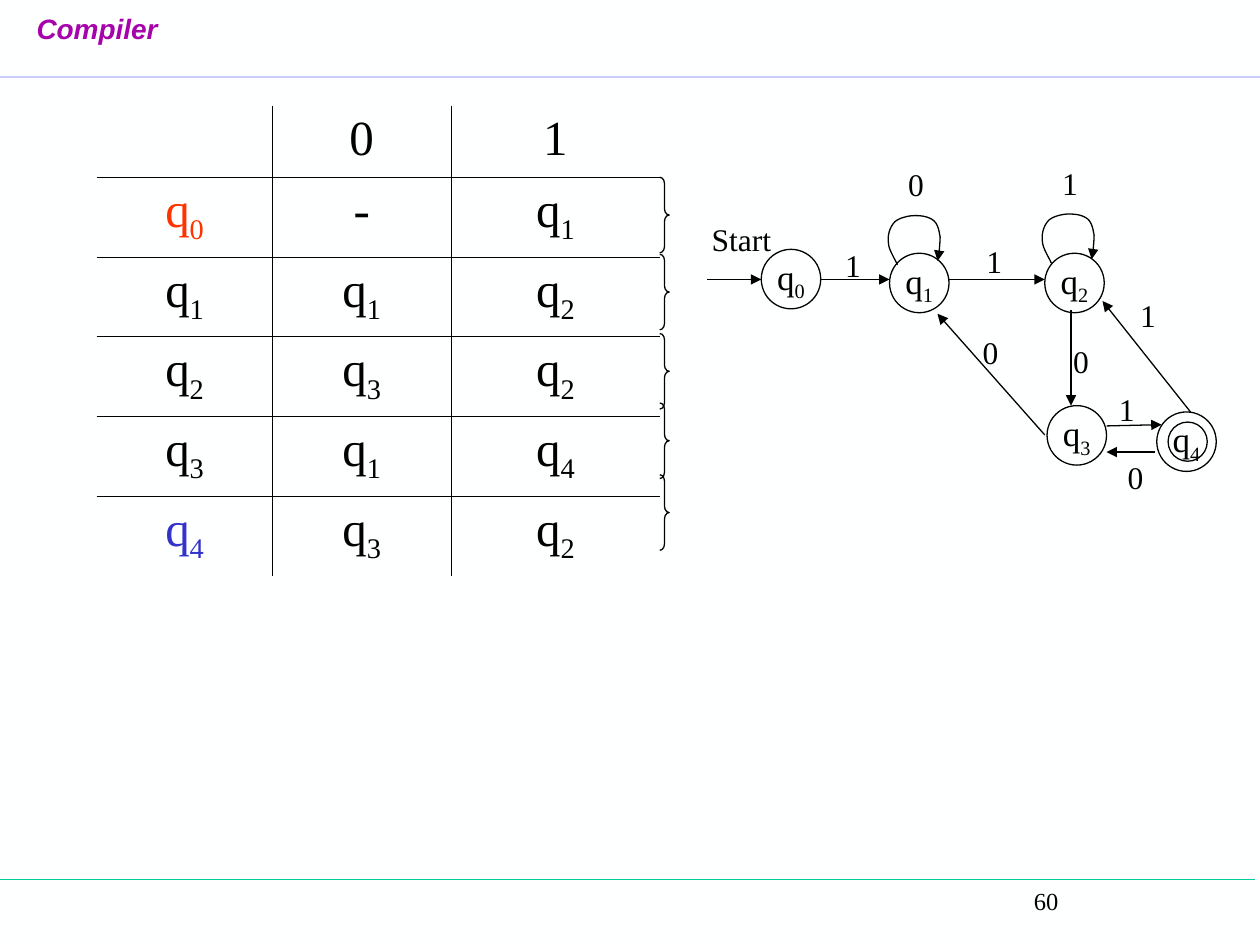
from dataclasses import dataclass

from lxml.etree import SubElement
from pptx import Presentation
from pptx.dml.color import RGBColor
from pptx.enum.shapes import MSO_CONNECTOR, MSO_SHAPE
from pptx.enum.text import MSO_ANCHOR, PP_ALIGN
from pptx.oxml import parse_xml
from pptx.oxml.ns import nsdecls, qn
from pptx.util import Pt


@dataclass(frozen=True)
class Theme:
    serif: str = "Times New Roman"
    sans: str = "Arial"
    paper: str = "FEFFFF"
    ink: str = "000000"
    title: str = "A603AB"
    header_rule: str = "CCCCFF"
    footer_rule: str = "00CC99"
    start_state: str = "FF3300"
    final_state: str = "3333CC"
    table_size: int = 28
    state_size: int = 20
    label_size: int = 18
    title_size: int = 16
    number_size: int = 14
    line: float = 0.75
    cell_line: float = 0.45


T = Theme()


def rgb(value):
    return RGBColor.from_string(value)


def write(tf, text, size, color=T.ink, align=PP_ALIGN.CENTER):
    """Write one paragraph; the digit of a state name such as q0 is a subscript."""
    p = tf.paragraphs[0]
    p.alignment = align
    p.font.name, p.font.size = T.serif, Pt(size)
    p.font.color.rgb = rgb(color)
    parts = text if text.startswith("q") else [text]
    for i, part in enumerate(parts):
        r = p.add_run()
        r.text = part
        if i:
            r._r.get_or_add_rPr().set("baseline", "-25000")


def add_label(s, text, x, y, w, h, size, align=PP_ALIGN.CENTER):
    tf = s.shapes.add_textbox(Pt(x), Pt(y), Pt(w), Pt(h)).text_frame
    tf.word_wrap = False
    write(tf, text, size, align=align)


def style_line(sp, color=T.ink, width=T.line, arrow=False):
    sp.line.color.rgb = rgb(color)
    sp.line.width = Pt(width)
    if arrow:
        SubElement(sp.line._get_or_add_ln(), qn("a:tailEnd"), type="triangle")


def add_line(s, x1, y1, x2, y2, **style):
    c = s.shapes.add_connector(MSO_CONNECTOR.STRAIGHT, Pt(x1), Pt(y1), Pt(x2), Pt(y2))
    style_line(c, **style)
    SubElement(c._element.spPr, qn("a:effectLst"))


def add_outline(s, shape, x, y, w, h):
    sp = s.shapes.add_shape(shape, Pt(x), Pt(y), Pt(w), Pt(h))
    sp.shadow.inherit = False
    sp.fill.background()
    style_line(sp)
    return sp


# Header and footer
def add_frame(s, w, h):
    title = s.shapes.title
    title.left, title.top, title.width, title.height = Pt(13.7), Pt(2.9), Pt(100), Pt(40)
    tf = title.text_frame
    tf.text = "Compiler"
    tf.word_wrap = False
    tf.vertical_anchor = MSO_ANCHOR.TOP
    p = tf.paragraphs[0]
    p.alignment = PP_ALIGN.LEFT
    p.font.name, p.font.size = T.sans, Pt(T.title_size)
    p.font.bold = p.font.italic = True
    p.font.color.rgb = rgb(T.title)
    add_line(s, 0, 44.2, w, 44.2, color=T.header_rule, width=1)
    add_line(s, 0, h - 37.5, w - 3, h - 37.5, color=T.footer_rule)
    add_label(s, "60", 583.7, h - 37.5, 60, 36, T.number_size, PP_ALIGN.LEFT)


# Transition table
def set_borders(cell, visible):
    tcPr = cell._tc.get_or_add_tcPr()
    for i, side in enumerate("LRTB"):
        fill = (f'<a:solidFill><a:srgbClr val="{T.ink}"/></a:solidFill>'
                if side in visible else "<a:noFill/>")
        tcPr.insert(i, parse_xml(
            f'<a:ln{side} {nsdecls("a")} w="{Pt(T.cell_line)}">{fill}</a:ln{side}>'))


def add_transition_table(s, x, y):
    rows = [["", "0", "1"], ["q0", "-", "q1"], ["q1", "q1", "q2"],
            ["q2", "q3", "q2"], ["q3", "q1", "q4"], ["q4", "q3", "q2"]]
    widths, heights = [100.2, 102.2, 119.2], [41] + [45.6] * 5
    colors = {(1, 0): T.start_state, (5, 0): T.final_state}
    table = s.shapes.add_table(len(rows), len(widths), Pt(x), Pt(y),
                               Pt(sum(widths)), Pt(sum(heights))).table
    table.first_row = table.horz_banding = False
    for col, width in zip(table.columns, widths):
        col.width = Pt(width)
    for i, row in enumerate(rows):
        table.rows[i].height = Pt(heights[i])
        for j, text in enumerate(row):
            cell = table.cell(i, j)
            cell.fill.background()
            # Inner grid lines only
            inner = {"L": j > 0, "R": j < len(row) - 1, "T": i > 0, "B": i < len(rows) - 1}
            set_borders(cell, [side for side, on in inner.items() if on])
            if text:
                write(cell.text_frame, text, T.table_size, colors.get((i, j), T.ink))
    # One brace beside each state row
    for top in (41, 85, 130.3, 170, 211):
        brace = add_outline(s, MSO_SHAPE.RIGHT_BRACE, x + sum(widths), y + top, 5.4, 43.2)
        brace.adjustments[0] = 0.67


# State diagram
def add_loop(s, x, y, steps=8):
    start = (5.8, 28.1)
    curves = [((5, 25.9), (0.7, 19.4), (0.7, 15.8)),
              ((0, 11.5), (1.4, 6.5), (4.3, 3.6)),
              ((6.5, 1.4), (12.2, 0), (15.8, 0)),
              ((20.2, 0), (23.8, 0.7), (26.6, 2.9)),
              ((28.8, 5), (29.5, 7.9), (30.2, 12.2)),
              ((30.2, 15.8), (29.5, 23), (28.8, 25.9))]
    points = [start]
    for b, c, d in curves:
        a = points[-1]
        for t in (k / steps for k in range(1, steps + 1)):
            u = 1 - t
            points.append(tuple(
                u**3 * a[n] + 3 * u * u * t * b[n] + 3 * u * t * t * c[n] + t**3 * d[n]
                for n in (0, 1)))
    points = [(Pt(x + px), Pt(y + py)) for px, py in points]
    builder = s.shapes.build_freeform(*points[0])
    builder.add_line_segments(points[1:], close=False)
    loop = builder.convert_to_shape()
    loop.shadow.inherit = False
    loop.fill.background()
    style_line(loop, arrow=True)


def add_state_diagram(s, x, y):
    size = 34
    states = {"q0": (35, 52.5), "q1": (108.3, 54.7), "q2": (197, 54.7),
              "q3": (198.3, 141.8), "q4": (261, 145.4)}
    for name, (dx, dy) in states.items():
        sp = add_outline(s, MSO_SHAPE.OVAL, x + dx, y + dy, size, size)
        sp.text_frame.word_wrap = False
        sp.text_frame.vertical_anchor = MSO_ANCHOR.MIDDLE
        write(sp.text_frame, name, T.state_size)
    # Inner ring of the accepting state
    dx, dy = states["q4"]
    add_outline(s, MSO_SHAPE.OVAL, x + dx + 6.5, y + dy + 5.8, 22.4, 22.4)

    # Arrows: start, q0-q1, q1-q2, q2-q3, q3-q4, q4-q3, q3-q1, q4-q2
    for x1, y1, x2, y2 in [(4, 69.7, 35, 69.7), (69, 69.7, 108.3, 69.7),
                           (142.3, 69.7, 197, 69.7), (212, 87, 212, 141.8),
                           (232.3, 153.4, 263.8, 152.7), (260.3, 168.3, 232.3, 168.3),
                           (197, 158.5, 135.7, 89.3), (280.3, 145.4, 230, 82)]:
        add_line(s, x + x1, y + y1, x + x2, y + y2, arrow=True)
    for dx, dy in [(107, 33.2), (195, 32.3)]:
        add_loop(s, x + dx, y + dy)

    # Input symbols
    add_label(s, "Start", x - 0.4, y + 32.4, 48.2, 28.8, T.label_size)
    for text, dx, dy in [("1", 75.9, 46.8), ("1", 156.6, 44.8), ("0", 111.9, 0.9),
                         ("1", 199.8, 0), ("0", 206.2, 102.2), ("0", 237.2, 168.2),
                         ("0", 154.4, 96.5), ("1", 232.2, 129.6), ("1", 244.4, 75.4)]:
        add_label(s, text, x + dx, y + dy, 23, 28.8, T.label_size)


def main():
    prs = Presentation()
    prs.slide_width, prs.slide_height = Pt(720), Pt(540)
    s = prs.slides.add_slide(prs.slide_layouts[5])
    s.background.fill.solid()
    s.background.fill.fore_color.rgb = rgb(T.paper)
    add_frame(s, 720, 540)
    add_transition_table(s, 55.4, 60.3)
    add_state_diagram(s, 400, 90)
    prs.save("out.pptx")


if __name__ == "__main__":
    main()
